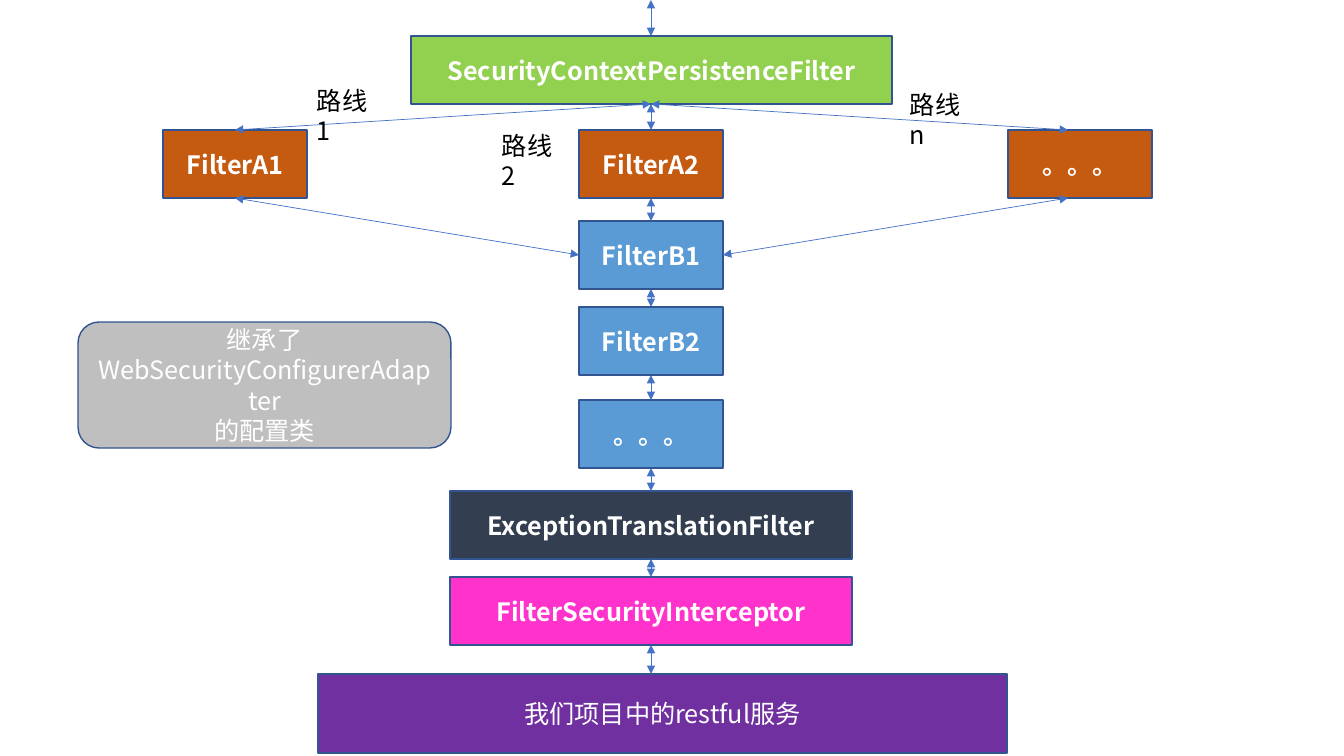
"""Draw the security filter chain with its routes and the service behind it."""
from dataclasses import dataclass
from itertools import pairwise

from lxml.etree import SubElement
from pptx import Presentation
from pptx.dml.color import RGBColor
from pptx.enum.shapes import MSO_CONNECTOR as Link, MSO_SHAPE as Preset
from pptx.enum.text import MSO_ANCHOR as Anchor, PP_ALIGN as Align
from pptx.oxml.ns import qn
from pptx.util import Emu, Pt

SCALE = 914400 / 100.8
FONT = "Noto Sans CJK SC"
COLORS = {
    "context": "92D050", "route": "C55A11", "shared": "5B9BD5",
    "exception": "333F50", "interceptor": "FF33CC", "service": "7030A0",
    "config": "BFBFBF", "border": "325491", "arrow": "4472C4",
    "light": "FFFFFF", "dark": "000000",
}
AXIS = 651
FILTER_WIDTH, FILTER_HEIGHT = 144, 68


@dataclass(frozen=True)
class Stage:
    """A labelled box of the chain, in pixels."""
    lines: tuple[str, ...]
    color: str
    left: int
    top: int
    width: int = FILTER_WIDTH
    height: int = FILTER_HEIGHT
    bold: bool = True
    preset: Preset = Preset.RECTANGLE

    @property
    def bottom(self) -> int:
        """Return the lower edge."""
        return self.top + self.height


@dataclass(frozen=True)
class RouteLabel:
    """The name of a route and its top left corner."""
    text: str
    left: int
    top: int


def px(pixels: int) -> Emu:
    """Convert pixels to EMU."""
    return Emu(round(pixels * SCALE))


def rgb(name: str) -> RGBColor:
    """Look up a colour by its role."""
    return RGBColor.from_string(COLORS[name])


def write(paragraph, text: str, color: str, bold: bool = False) -> None:
    """Add one run in the slide font."""
    run = paragraph.add_run()
    run.text = text
    run.font.size, run.font.bold, run.font.name = Pt(18), bold, FONT
    run.font.color.rgb = rgb(color)
    SubElement(run.font._element, qn("a:ea")).set("typeface", FONT)


def draw_stage(slide, stage: Stage) -> None:
    """Draw a box with centred lines of text."""
    box = slide.shapes.add_shape(
        stage.preset, px(stage.left), px(stage.top), px(stage.width), px(stage.height))
    box.shadow.inherit = False
    box.fill.solid()
    box.fill.fore_color.rgb = rgb(stage.color)
    box.line.color.rgb = rgb("border")
    box.line.width = Pt(1)
    frame = box.text_frame
    frame.word_wrap = True
    frame.vertical_anchor = Anchor.MIDDLE
    for index, line in enumerate(stage.lines):
        paragraph = frame.add_paragraph() if index else frame.paragraphs[0]
        paragraph.alignment = Align.CENTER
        write(paragraph, line, "light", stage.bold)


def draw_arrow(slide, start: tuple[int, int], end: tuple[int, int]) -> None:
    """Draw a thin line with an arrowhead at both ends."""
    arrow = slide.shapes.add_connector(Link.STRAIGHT, *map(px, start + end))
    arrow.line.color.rgb = rgb("arrow")
    arrow.line.width = Pt(0.5)
    outline = arrow.line._get_or_add_ln()
    for tag in ("a:headEnd", "a:tailEnd"):
        SubElement(outline, qn(tag)).set("type", "triangle")
    SubElement(arrow._element.spPr, qn("a:effectLst"))


def draw_label(slide, label: RouteLabel) -> None:
    """Write the name of a route."""
    box = slide.shapes.add_textbox(px(label.left), px(label.top), px(84), px(40))
    box.text_frame.word_wrap = True
    write(box.text_frame.paragraphs[0], label.text, "dark")


def main() -> None:
    """Build and save the slide."""
    deck = Presentation()
    deck.slide_width, deck.slide_height = px(1344), px(756)
    slide = deck.slides.add_slide(deck.slide_layouts[6])

    context = Stage(("SecurityContextPersistenceFilter",), "context", 411, 36, 481)
    first_route = Stage(("FilterA1",), "route", 163, 130)
    last_route = Stage(("。。。",), "route", 1008, 130)
    first_shared = Stage(("FilterB1",), "shared", 579, 221)
    spine = (
        context,
        Stage(("FilterA2",), "route", 579, 130),
        first_shared,
        Stage(("FilterB2",), "shared", 579, 307),
        Stage(("。。。",), "shared", 579, 400),
        Stage(("ExceptionTranslationFilter",), "exception", 450, 491, 402),
        Stage(("FilterSecurityInterceptor",), "interceptor", 450, 577, 402),
        Stage(("我们项目中的restful服务",), "service", 318, 674, 689, 79, bold=False),
    )
    config = Stage(("继承了WebSecurityConfigurerAdapter", "的配置类"), "config",
                   78, 322, 373, 126, bold=False, preset=Preset.ROUNDED_RECTANGLE)
    for stage in (*spine, first_route, last_route, config):
        draw_stage(slide, stage)

    draw_arrow(slide, (AXIS, 0), (AXIS, context.top))
    for upper, lower in pairwise(spine):
        draw_arrow(slide, (AXIS, upper.bottom), (AXIS, lower.top))
    shared_middle = first_shared.top + FILTER_HEIGHT // 2
    shared_right = first_shared.left + FILTER_WIDTH
    for route, x, shared_side in ((first_route, 235, first_shared.left),
                                  (last_route, 1068, shared_right)):
        draw_arrow(slide, (AXIS, context.bottom), (x, route.top))
        draw_arrow(slide, (x, route.bottom), (shared_side, shared_middle))

    for label in (RouteLabel("路线1", 307, 80), RouteLabel("路线2", 492, 125),
                  RouteLabel("路线n", 900, 84)):
        draw_label(slide, label)
    deck.save("out.pptx")


main()
